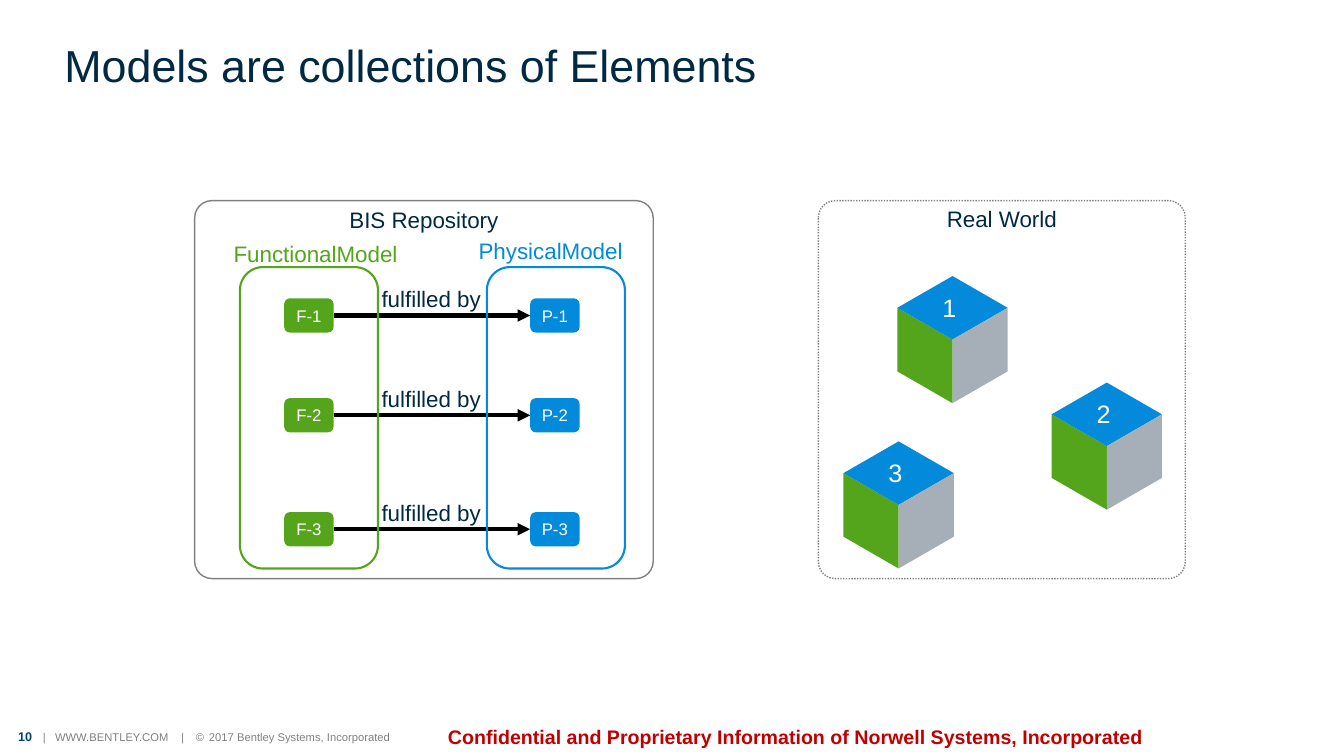
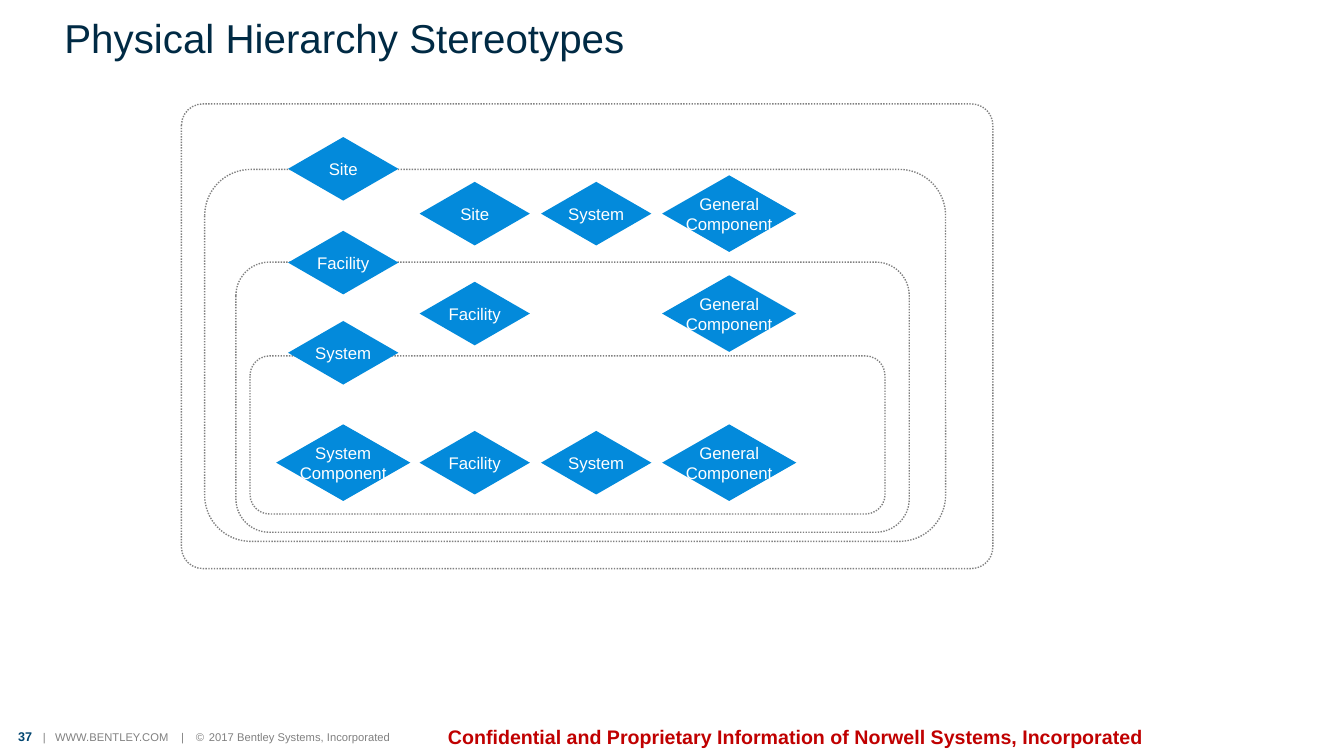
from lxml.etree import SubElement
from pptx import Presentation
from pptx.dml.color import RGBColor
from pptx.enum.dml import MSO_LINE
from pptx.enum.shapes import MSO_CONNECTOR, MSO_SHAPE
from pptx.enum.text import MSO_ANCHOR, PP_ALIGN
from pptx.oxml.ns import qn
from pptx.util import Pt

ROUNDED = MSO_SHAPE.ROUNDED_RECTANGLE
DIAMOND = MSO_SHAPE.DIAMOND
STRAIGHT = MSO_CONNECTOR.STRAIGHT
DOTTED = MSO_LINE.ROUND_DOT
LEFT, CENTER = PP_ALIGN.LEFT, PP_ALIGN.CENTER
TOP, MIDDLE = MSO_ANCHOR.TOP, MSO_ANCHOR.MIDDLE
SIDE_LEFT, SIDE_RIGHT = 1, 3

FONT = "Arial"
NAVY, TEAL, GREY, RED = "002A44", "004570", "808080", "C00000"
GREEN, BLUE, SILVER = "55A51C", "038ADB", "A6AFB7"
WHITE, BLACK = "FFFFFF", "000000"


def rgb(value):
    return RGBColor.from_string(value)


def add_span(para, text, size=12, color=NAVY, bold=False):
    span = para.add_run()
    span.text = text
    span.font.name = FONT
    span.font.size = Pt(size)
    span.font.bold = bold
    span.font.color.rgb = rgb(color)


def set_text(box, text, align=LEFT, anchor=TOP, wrap=True, margins=(7.2, 3.6),
             spacing=None, **style):
    frame = box.text_frame
    frame.word_wrap = wrap
    frame.vertical_anchor = anchor
    frame.margin_left = frame.margin_right = Pt(margins[0])
    frame.margin_top = frame.margin_bottom = Pt(margins[1])
    for index, line in enumerate(text.split("\n")):
        para = frame.add_paragraph() if index else frame.paragraphs[0]
        para.alignment = align
        if spacing:
            para.line_spacing = spacing
        if line:
            add_span(para, line, **style)
    return frame


class Deck:
    def __init__(self):
        self.deck = Presentation()
        self.deck.slide_width, self.deck.slide_height = Pt(960), Pt(540)
        self.shapes = None

    def page(self, number, title, title_height, title_size):
        page = self.deck.slides.add_slide(self.deck.slide_layouts[6])
        self.shapes = page.shapes
        self.footer(number)
        self.text(38.9, 18.7, 879.8, title_height, title, size=title_size,
                  anchor=MIDDLE, spacing=0.9)

    def footer(self, number):
        frame = self.text(3.6, 515.5, 450.7, 20.9, "", margins=(9.4, 5))
        para = frame.paragraphs[0]
        tabs = SubElement(para._p.get_or_add_pPr(), qn("a:tabLst"))
        for stop in (17.7, 26.3, 116.3, 127, 136.3):
            SubElement(tabs, qn("a:tab"), pos=str(int(Pt(stop))), algn="l")
        add_span(para, f"{number}\t", size=9, color=TEAL, bold=True)
        add_span(para, "|\tWWW.BENTLEY.COM\t|\t©\t2017 Bentley Systems, Incorporated",
                 size=8, color=GREY)
        self.text(308.9, 514.1, 519.1, 24.5,
                  "Confidential and Proprietary Information of Norwell Systems, Incorporated",
                  align=CENTER, size=14, color=RED, bold=True)

    def text(self, left, top, width, height, text, **style):
        box = self.shapes.add_textbox(Pt(left), Pt(top), Pt(width), Pt(height))
        return set_text(box, text, **style)

    def paint(self, shape, fill=None, line=None, weight=1, dash=None):
        shape.shadow.inherit = False
        if fill:
            shape.fill.solid()
            shape.fill.fore_color.rgb = rgb(fill)
        else:
            shape.fill.background()
        if line:
            shape.line.color.rgb = rgb(line)
            shape.line.width = Pt(weight)
            if dash:
                shape.line.dash_style = dash
        else:
            shape.line.fill.background()

    def frame(self, left, top, width, height, text="", rounding=0.16667, **look):
        box = self.shapes.add_shape(ROUNDED, Pt(left), Pt(top), Pt(width), Pt(height))
        box.adjustments[0] = rounding
        self.paint(box, **look)
        if text:
            set_text(box, text, align=CENTER, margins=(0, 0), size=16)

    def label(self, kind, left, top, width, height, text, fill):
        box = self.shapes.add_shape(kind, Pt(left), Pt(top), Pt(width), Pt(height))
        self.paint(box, fill)
        set_text(box, text, align=CENTER, anchor=MIDDLE, wrap=False,
                 margins=(0, 0), color=WHITE)
        return box

    def chip(self, left, top, text, fill):
        return self.label(ROUNDED, left, top, 35.3, 24.5, text, fill)

    def diamond(self, center_x, center_y, text):
        width, height = (95.8, 54.7) if "\n" in text else (78.8, 45.4)
        self.label(DIAMOND, center_x - width / 2, center_y - height / 2,
                   width, height, text, BLUE)

    def arrow(self, source, target):
        arrow = self.shapes.add_connector(STRAIGHT, 0, 0, 0, 0)
        arrow.begin_connect(source, SIDE_RIGHT)
        arrow.end_connect(target, SIDE_LEFT)
        arrow.line.color.rgb = rgb(BLACK)
        arrow.line.width = Pt(3)
        properties = arrow._element.spPr
        SubElement(properties.find(qn("a:ln")), qn("a:tailEnd"), type="triangle")
        SubElement(properties, qn("a:effectLst"))

    def polygon(self, points, fill):
        points = [(Pt(x), Pt(y)) for x, y in points]
        builder = self.shapes.build_freeform(*points[0], scale=1.0)
        builder.add_line_segments(points[1:], close=True)
        self.paint(builder.convert_to_shape(), fill)

    def cube(self, x, y, text):
        half, rise, edge = 39.4, 22.7, 45.4
        left, right, upper = x - half, x + half, y - rise
        lower = upper + edge
        center, bottom = (x, y), (x, y + edge)
        self.polygon([(left, upper), center, bottom, (left, lower)], GREEN)
        self.polygon([(left, upper), (x, y - 2 * rise), (right, upper), center], BLUE)
        self.polygon([(right, upper), (right, lower), bottom, center], SILVER)
        self.text(x - 14.4, y - 37.6, 25.2, 28.8, text, size=18, color=WHITE)


def build_models(deck):
    deck.page(10, "Models are collections of Elements", 59.8, 32)
    for number, top in enumerate((213.1, 284.4, 365.8), 1):
        deck.text(265.5, top - 13, 117.4, 26.6, "fulfilled by", size=16)
        function = deck.chip(203, top, f"F-{number}", GREEN)
        physical = deck.chip(378.7, top, f"P-{number}", BLUE)
        deck.arrow(function, physical)
    models = (("FunctionalModel", 171.4, 159.8, 167.8, GREEN),
              ("PhysicalModel", 347.8, 334.8, 165.6, BLUE))
    for name, left, name_left, name_top, color in models:
        deck.frame(left, 190.8, 98.6, 215.3, line=color, weight=1.5)
        deck.text(name_left, name_top, 136.8, 26.6, name, size=16, color=color)
    deck.frame(584.6, 143.3, 262.1, 270, "Real World", rounding=0.046,
               line=GREY, dash=DOTTED)
    deck.frame(139, 143.3, 327.6, 270, "BIS Repository", rounding=0.046, line=GREY)
    for text, x, y in (("1", 680.4, 242.6), ("2", 790.6, 318.7), ("3", 641.9, 360.7)):
        deck.cube(x, y, text)


def build_hierarchy(deck):
    deck.page(37, "Physical Hierarchy Stereotypes", 20.9, 28.8)
    levels = ((129.6, 74.2, 579.6, 331.9, 0.046),
              (146.2, 121, 529.2, 265.7, 0.124),
              (168.5, 187.2, 481, 193, 0.124),
              (178.6, 254.2, 453.6, 113, 0.124))
    for *bounds, rounding in levels:
        deck.frame(*bounds, rounding=rounding, fill=WHITE, line=GREY, dash=DOTTED)
    columns = (245.2, 339.1, 425.9, 520.9)
    general = "General\nComponent"
    rows = ((120.6, ("Site",)),
            (152.6, (None, "Site", "System", general)),
            (187.6, ("Facility",)),
            (224, (None, "Facility", None, general)),
            (252, ("System",)),
            (330.5, ("System\nComponent", "Facility", "System", general)))
    for y, names in rows:
        for x, name in zip(columns, names):
            if name:
                deck.diamond(x, y, name)


def main():
    deck = Deck()
    build_models(deck)
    build_hierarchy(deck)
    deck.deck.save("out.pptx")


if __name__ == "__main__":
    main()
